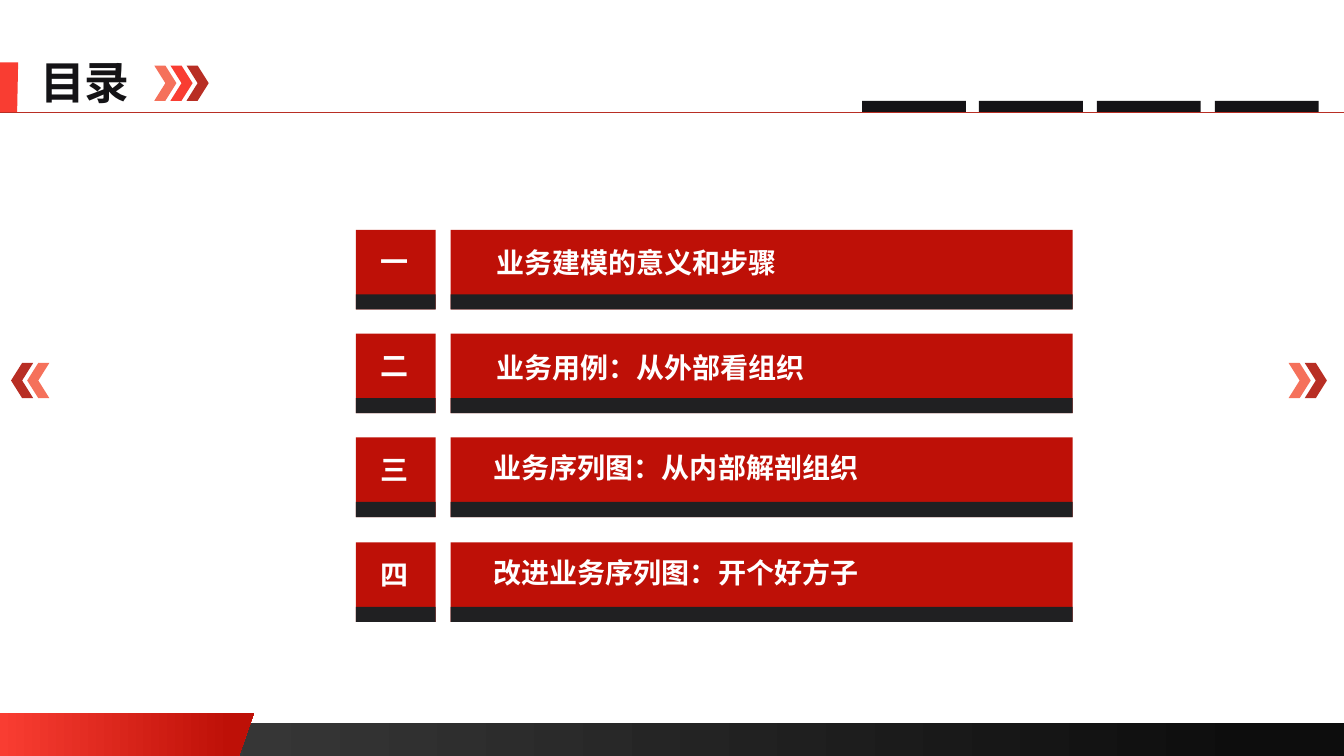
from pptx import Presentation
from pptx import util as u
from pptx.dml.color import RGBColor
from pptx.enum import shapes, text
from pptx.oxml.ns import qn
from lxml import etree

PX = 9144  # 100 px to the inch
FONT = "Noto Sans CJK SC"
RED, DARK, INK, WHITE = "BE1007", "202022", "141316", "FFFFFF"
CORAL, BRIGHT, BRICK = "F5715B", "F93D32", "B82E24"
CHAPTERS = [  # numeral, title, offset of the title in its row
    ("一", "业务建模的意义和步骤", 128, 11),
    ("二", "业务用例：从外部看组织", 128, 12),
    ("三", "业务序列图：从内部解剖组织", 125, 8),
    ("四", "改进业务序列图：开个好方子", 125, 8),
]


def px(n):
    return u.Emu(n * PX)


def rgb(color):
    return RGBColor.from_string(color)


def paint(sp, *stops):
    """One colour fills solid; (position, colour) pairs fill left to right."""
    sp.shadow.inherit = False
    sp.line.fill.background()
    if len(stops) == 1:
        sp.fill.solid()
        sp.fill.fore_color.rgb = rgb(stops[0])
        return
    sp.fill.gradient()
    sp.fill.gradient_angle = 0
    for stop, (position, color) in zip(sp.fill.gradient_stops, stops):
        stop.position = position
        stop.color.rgb = rgb(color)


def add_preset(s, kind, x, y, w, h, *stops):
    sp = s.shapes.add_shape(kind, px(x), px(y), px(w), px(h))
    paint(sp, *stops)
    return sp


def add_rect(s, x, y, w, h, *stops):
    return add_preset(s, shapes.MSO_SHAPE.RECTANGLE, x, y, w, h, *stops)


def add_slanted(s, x, y, w, h, slant, *stops):
    """A bar whose right edge leans in by slant at the bottom."""
    fb = s.shapes.build_freeform(x, y, scale=PX)
    fb.add_line_segments([(x + w, y), (x + w - slant, y + h), (x, y + h)])
    paint(fb.convert_to_shape(), *stops)


def add_text(s, x, y, w, h, words, size, color, align):
    tf = s.shapes.add_textbox(px(x), px(y), px(w), px(h)).text_frame
    tf.word_wrap = False
    tf.auto_size = text.MSO_AUTO_SIZE.SHAPE_TO_FIT_TEXT
    p = tf.paragraphs[0]
    p.alignment = align
    r = p.add_run()
    r.text = words
    r.font.size = u.Pt(size)
    r.font.bold = True
    r.font.color.rgb = rgb(color)
    r.font.name = FONT
    latin = r.font._element.find(qn("a:latin"))
    east_asian = etree.Element(qn("a:ea"), typeface=FONT)
    latin.addnext(east_asian)


def add_chevrons(s, x, y, colors, step=16):
    """A negative step points the chevrons left."""
    for i, color in enumerate(colors):
        sp = add_preset(s, shapes.MSO_SHAPE.CHEVRON, x + i * step, y, 22, 35, color)
        if step < 0:
            sp._element.spPr.xfrm.set("flipH", "1")


def add_footer(s, x, y, w, h):
    add_rect(s, x, y + 10, w, h - 10, (0, "404040"), (0.94, "0D0D0D"))
    add_slanted(s, x, y, 252, h, 15, (0, BRIGHT), (0.91, RED))


def add_header(s, x, y, w, h):
    add_slanted(s, x, y + 13, 18, 50, 1, BRIGHT)
    add_text(s, x + 30, y, 110, 64, "目录", 32, INK, text.PP_ALIGN.LEFT)
    # Rule under the title
    rule = s.shapes.add_connector(
        shapes.MSO_CONNECTOR.STRAIGHT, px(x), px(y + h), px(x + w), px(y + h))
    rule.line.color.rgb = rgb(BRICK)
    rule.line.width = u.Pt(0.5)
    etree.SubElement(rule._element.spPr, qn("a:effectLst"))
    add_chevrons(s, x + 153, y + 16, [CORAL, BRIGHT, BRICK])
    # Four tabs standing on the rule
    for i in range(4):
        add_rect(s, x + 855 + i * 350 // 3, y + h - 11, 103, 11, INK)


def add_chapter(s, x, y, w, h, numeral, title, dx, dy):
    tile, gap, base = h, 15, 15
    for left, width in ((x, tile), (x + tile + gap, w - tile - gap)):
        add_rect(s, left, y, width, h, RED)
        add_rect(s, left, y + h - base, width, base, DARK)
    center = text.PP_ALIGN.CENTER
    add_text(s, x + 14, y + 10, 48, 44, numeral, 20, WHITE, center)
    add_text(s, x + dx, y + dy, 21 + 28 * len(title), 44, title, 20, WHITE, center)


def add_contents(s, x, y, w, h):
    row = 79
    for i, chapter in enumerate(CHAPTERS):
        top = y + i * (h - row) // (len(CHAPTERS) - 1)
        add_chapter(s, x, top, w, row, *chapter)


def main():
    prs = Presentation()
    prs.slide_width, prs.slide_height = px(1333), px(750)
    s = prs.slides.add_slide(prs.slide_layouts[6])
    add_footer(s, 0, 707, 1333, 43)
    add_header(s, 0, 49, 1333, 62)
    # Page arrows at both edges
    add_chevrons(s, 1278, 360, [CORAL, BRICK])
    add_chevrons(s, 27, 360, [CORAL, BRICK], step=-16)
    add_contents(s, 353, 228, 711, 389)
    prs.save("out.pptx")


if __name__ == "__main__":
    main()
